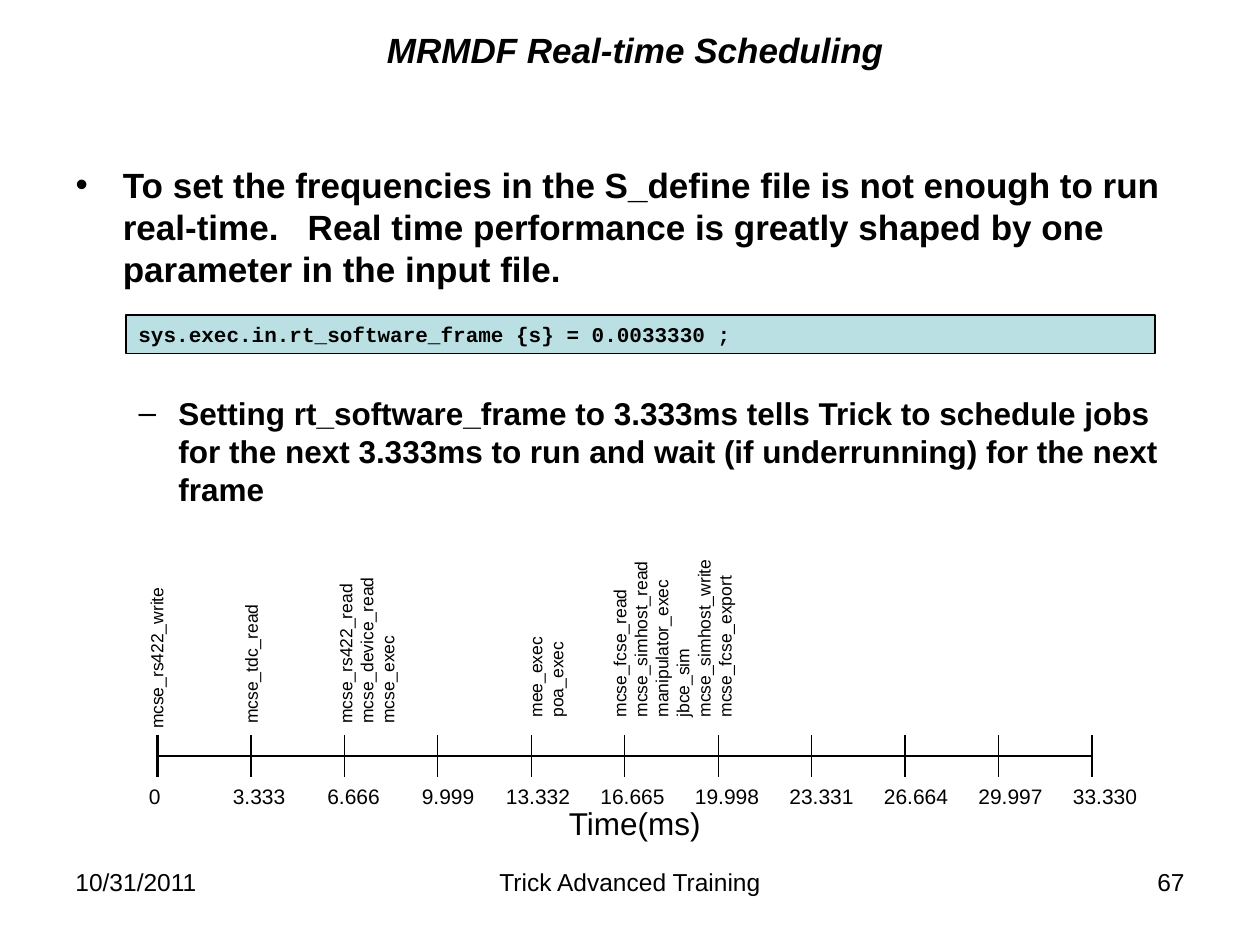
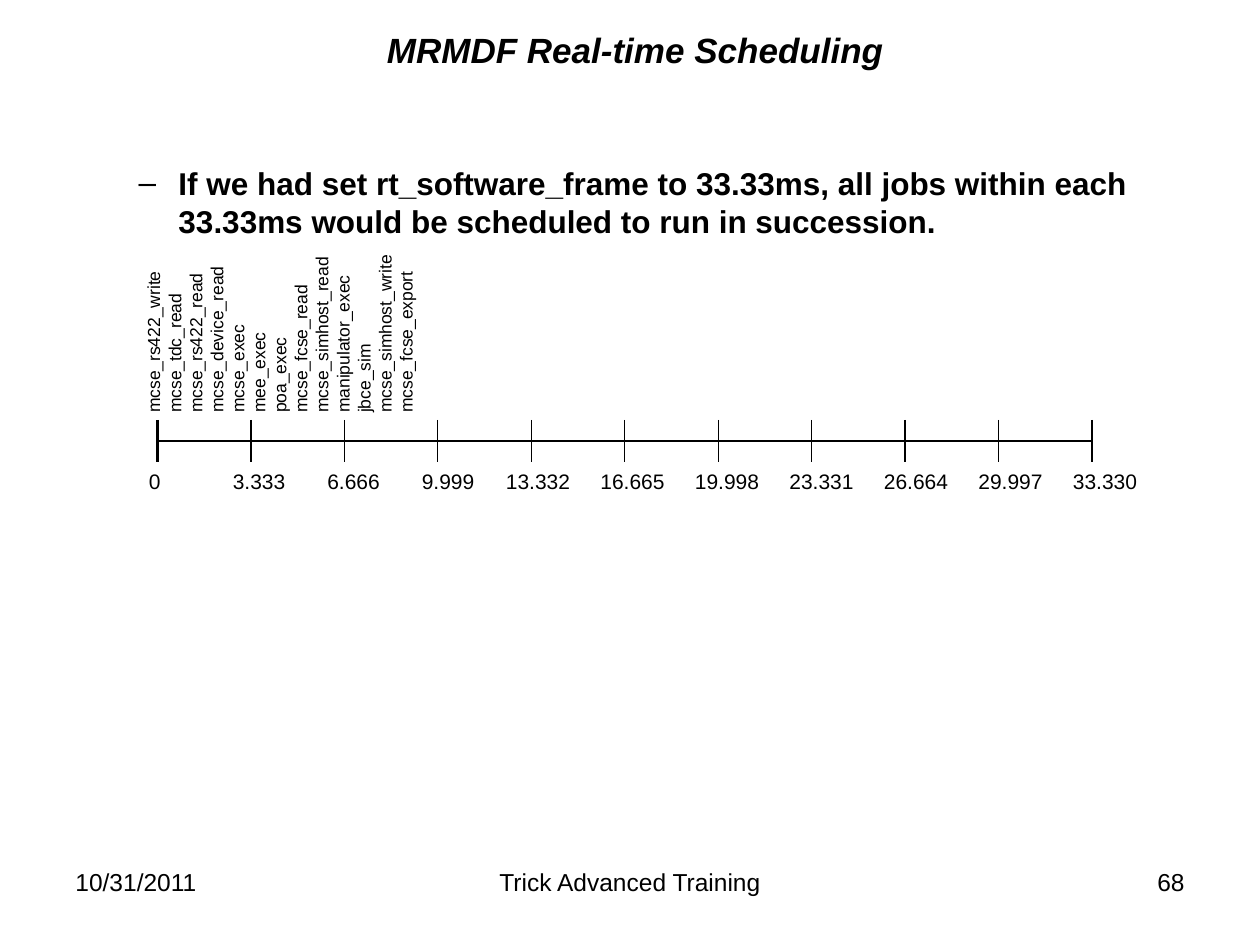
from itertools import chain

from lxml.etree import SubElement
from pptx import Presentation
from pptx.dml.color import RGBColor
from pptx.enum.shapes import MSO_CONNECTOR, MSO_SHAPE
from pptx.enum.text import MSO_ANCHOR as ANCHOR, MSO_AUTO_SIZE as AUTO_SIZE, PP_ALIGN as ALIGN
from pptx.oxml.ns import qn
from pptx.util import Emu, Pt

EMU_PER_PX = 914400 // 120
BLACK, PALE_TEAL = "000000", "BBE0E3"
BODY_FONT, CODE_FONT = "Arial", "Courier New"

TITLE = "MRMDF Real-time Scheduling"
# level: (bullet, text margin, hanging indent, text size)
BULLETS = {0: ("•", 45, 45, 20), 1: ("–", 98, 38, 18)}

AXIS_LEFT, TICK_STEP, TICK_COUNT, TICK_HALF = 150, 89, 11, 20
FRAME_MS = 3.333
LABEL_LEFT, LABEL_STEP = 120, 90
# characters in a time label: (shift, width)
LABEL_FIT = {1: (10, 35), 5: (0, 75), 6: (-10, 85)}

# left, bottom, length, jobs in the frame
FRAME_JOBS = [
    (133, 706, 170, ["mcse_rs422_write"]),
    (223, 701, 150, ["mcse_tdc_read"]),
    (313, 701, 175, ["mcse_rs422_read", "mcse_device_read", "mcse_exec"]),
    (494, 695, 115, ["mee_exec", "poa_exec"]),
    (574, 695, 185, ["mcse_fcse_read", "mcse_simhost_read", "manipulator_exec",
                     "jbce_sim", "mcse_simhost_write", "mcse_fcse_export"]),
]


def px(length):
    return Emu(round(length * EMU_PER_PX))


def color(hex_text):
    return RGBColor.from_string(hex_text)


def place(shape, left, top, width, height):
    shape.left, shape.top, shape.width, shape.height = map(px, (left, top, width, height))


def format_text(paragraph, text, size=12, font=BODY_FONT, bold=False, italic=False,
                align=ALIGN.LEFT):
    paragraph.text = text
    paragraph.alignment = align
    style = paragraph.font
    style.name, style.size, style.bold, style.italic = font, Pt(size), bold, italic
    style.color.rgb = color(BLACK)


def add_label(shapes, lines, left, top, width, height, wrap=False, **text_format):
    label = shapes.add_textbox(*map(px, (left, top, width, height)))
    frame = label.text_frame
    frame.word_wrap = wrap
    for index, line in enumerate(lines):
        paragraph = frame.add_paragraph() if index else frame.paragraphs[0]
        format_text(paragraph, line, **text_format)
    return label


def add_line(shapes, x1, y1, x2, y2, weight):
    line = shapes.add_connector(MSO_CONNECTOR.STRAIGHT, *map(px, (x1, y1, x2, y2)))
    line.line.color.rgb = color(BLACK)
    line.line.width = Pt(weight)
    SubElement(line.element.spPr, qn("a:effectLst"))


def add_jobs(slide, jobs, left, bottom, length):
    """Stack job names that read upwards, one column per job."""
    depth = 12 + 20 * len(jobs)
    center_x, center_y = left + depth / 2, bottom - length / 2
    column = add_label(slide.shapes, jobs, center_x - length / 2, center_y - depth / 2,
                       length, depth, wrap=True, size=10)
    column.rotation = 270


def add_timeline(slide, axis_y):
    shapes = slide.shapes.add_group_shape().shapes
    last = TICK_COUNT - 1
    add_line(shapes, AXIS_LEFT, axis_y, AXIS_LEFT + last * TICK_STEP, axis_y, 1.5)
    for tick in range(TICK_COUNT):
        x = AXIS_LEFT + tick * TICK_STEP
        add_line(shapes, x, axis_y - TICK_HALF, x, axis_y + TICK_HALF,
                 1.5 if tick in (0, last) else 0.75)
        time = f"{tick * FRAME_MS:.3f}" if tick else "0"
        shift, width = LABEL_FIT[len(time)]
        add_label(shapes, [time], LABEL_LEFT + tick * LABEL_STEP + shift,
                  axis_y + TICK_HALF, width, 36)


def add_code(slide, code):
    box = slide.shapes.add_shape(MSO_SHAPE.RECTANGLE, *map(px, (120, 300, 980, 37)))
    box.shadow.inherit = False
    box.fill.solid()
    box.fill.fore_color.rgb = color(PALE_TEAL)
    box.line.color.rgb = color(BLACK)
    box.line.width = Pt(0.75)
    box.text_frame.vertical_anchor = ANCHOR.TOP
    format_text(box.text_frame.paragraphs[0], code, font=CODE_FONT, bold=True)


def add_bullet(paragraph, text, level, space_before):
    mark, margin, hanging, size = BULLETS[level]
    paragraph.level = level
    properties = paragraph._p.get_or_add_pPr()
    properties.set("marL", str(px(margin)))
    properties.set("indent", str(px(-hanging)))
    SubElement(properties, qn("a:buFont"), typeface=BODY_FONT)
    SubElement(properties, qn("a:buChar"), char=mark)
    paragraph.space_before = Pt(space_before)
    format_text(paragraph, text, size=size, bold=True)


def add_slide(deck, number, bullets):
    """Add title, footer and bullets given as (level, space before, text)."""
    slide = deck.slides.add_slide(deck.slide_layouts[1])
    title, body = slide.placeholders
    place(title, 120, 20, 970, 54)
    title.text_frame.auto_size = AUTO_SIZE.NONE
    title.text_frame.vertical_anchor = ANCHOR.MIDDLE
    format_text(title.text_frame.paragraphs[0], TITLE, size=20, bold=True, italic=True,
                align=ALIGN.CENTER)

    place(body, 60, 150, 1080, 654)
    frame = body.text_frame
    frame.auto_size = AUTO_SIZE.NONE
    for index, (level, space_before, text) in enumerate(bullets):
        paragraph = frame.add_paragraph() if index else frame.paragraphs[0]
        add_bullet(paragraph, text, level, space_before)

    for text, left, width, align in (("10/31/2011", 60, 280, ALIGN.LEFT),
                                     ("Trick Advanced Training", 410, 380, ALIGN.CENTER),
                                     (str(number), 860, 280, ALIGN.RIGHT)):
        add_label(slide.shapes, [text], left, 820, width, 62, wrap=True, size=14, align=align)
    return slide


def add_short_frame_slide(deck):
    slide = add_slide(deck, 67, [
        (0, 0, "To set the frequencies in the S_define file is not enough to run real-time.   "
               "Real time performance is greatly shaped by one parameter in the input file."),
        (1, 59.5, "Setting rt_software_frame to 3.333ms tells Trick to schedule jobs for the "
                  "next 3.333ms to run and wait (if underrunning) for the next frame"),
    ])
    add_code(slide, "sys.exec.in.rt_software_frame {s} = 0.0033330 ;")
    add_timeline(slide, 720)
    for left, bottom, length, jobs in FRAME_JOBS:
        add_jobs(slide, jobs, left, bottom, length)
    add_label(slide.shapes, ["Time(ms)"], 530, 760, 151, 48, size=18)


def add_long_frame_slide(deck):
    slide = add_slide(deck, 68, [
        (1, 0, "If we had set rt_software_frame to 33.33ms, all jobs within each 33.33ms "
               "would be scheduled to run in succession."),
    ])
    all_jobs = list(chain.from_iterable(jobs for *_, jobs in FRAME_JOBS))
    add_jobs(slide, all_jobs, 130, 405, 205)
    add_timeline(slide, 420)


def main():
    deck = Presentation()
    deck.slide_width, deck.slide_height = px(1200), px(900)
    add_short_frame_slide(deck)
    add_long_frame_slide(deck)
    deck.save("out.pptx")


if __name__ == "__main__":
    main()
